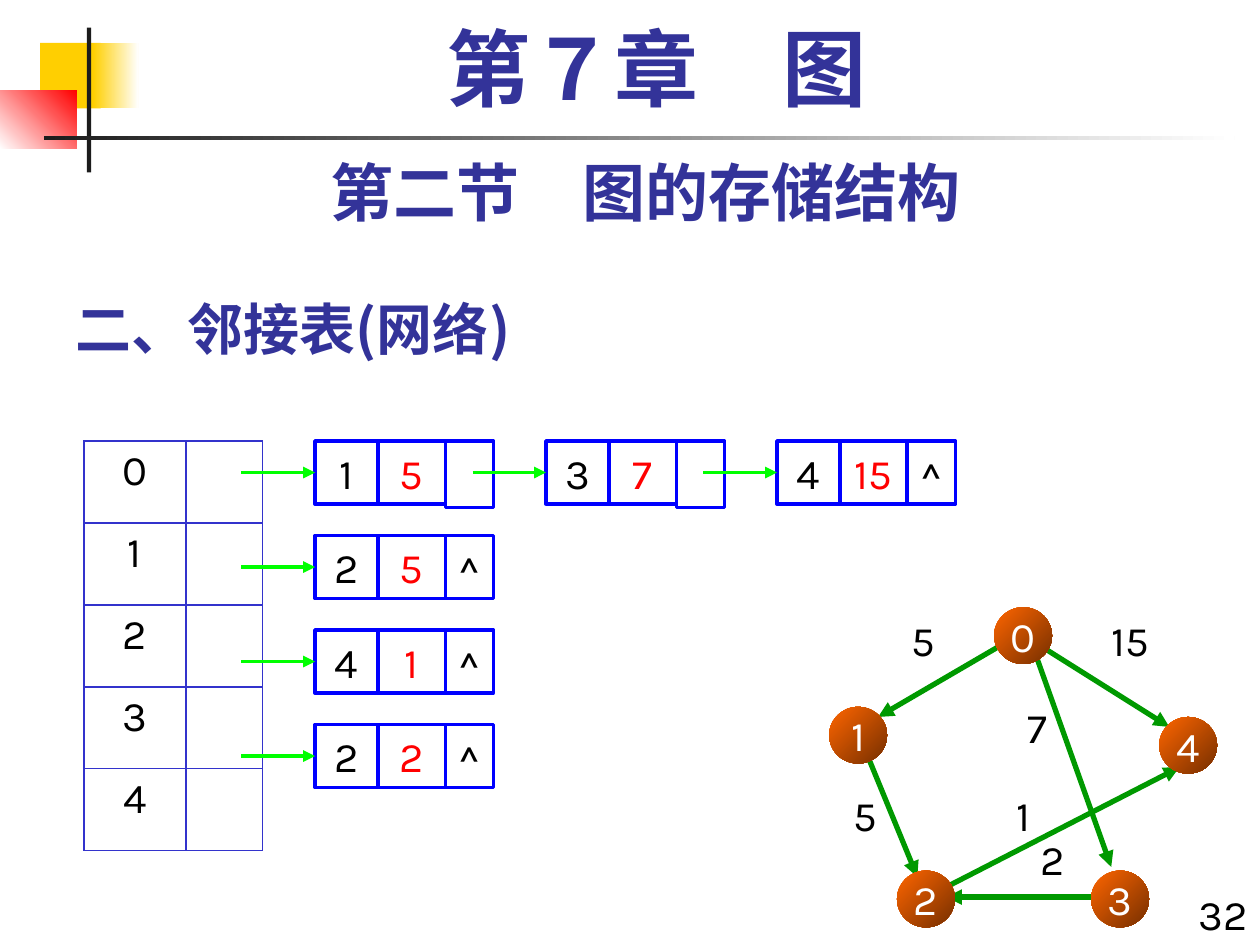
from lxml.etree import SubElement
from pptx import Presentation
from pptx.dml.color import RGBColor
from pptx.enum.shapes import MSO_CONNECTOR as Connector, MSO_SHAPE as Shape
from pptx.enum.text import MSO_ANCHOR as Anchor, PP_ALIGN as Align
from pptx.oxml.ns import qn
from pptx.util import Pt

BLACK = RGBColor(0x00, 0x00, 0x00)
WHITE = RGBColor(0xFF, 0xFF, 0xFF)
CHARCOAL = RGBColor(0x1C, 0x1C, 0x1C)
GOLD = RGBColor(0xFF, 0xCF, 0x01)
RED = RGBColor(0xFF, 0x00, 0x00)
NAVY = RGBColor(0x33, 0x33, 0x99)
TABLE_BLUE = RGBColor(0x33, 0x33, 0xCC)
BLUE = RGBColor(0x00, 0x00, 0xFF)
LIME = RGBColor(0x00, 0xFF, 0x00)
GREEN = RGBColor(0x00, 0x99, 0x00)
ORANGE = RGBColor(0xFF, 0x66, 0x00)
BROWN = RGBColor(0x76, 0x2F, 0x00)
CHINESE_FONT = "Noto Sans CJK SC"

presentation = Presentation()
presentation.slide_width, presentation.slide_height = Pt(720), Pt(540)
slide = presentation.slides.add_slide(presentation.slide_layouts[6])
shapes = slide.shapes


def write_text(frame, text, size=24, color=BLACK, font="Karla", bold=False,
               align=Align.CENTER, anchor=Anchor.TOP, spacing=None):
    frame.word_wrap = True
    frame.vertical_anchor = anchor
    paragraph = frame.paragraphs[0]
    paragraph.alignment = align
    paragraph.line_spacing = spacing
    run = paragraph.add_run()
    run.text = text
    run.font.size = Pt(size)
    run.font.name = font
    run.font.bold = bold
    run.font.color.rgb = color
    SubElement(run.font._element, qn("a:ea"), typeface=CHINESE_FONT)


def add_painted_shape(kind, box, colors=(), angle=0, outline=None):
    """No colour leaves the shape hollow, one is solid, two make a gradient."""
    shape = shapes.add_shape(kind, *map(Pt, box))
    shape.shadow.inherit = False
    if len(colors) == 2:
        shape.fill.gradient()
        shape.fill.gradient_angle = angle
        for stop, color in zip(shape.fill.gradient_stops, colors):
            stop.color.rgb = color
            stop.position = colors.index(color)
    elif colors:
        shape.fill.solid()
        shape.fill.fore_color.rgb = colors[0]
    else:
        shape.fill.background()
    if outline:
        shape.line.color.rgb = outline
        shape.line.width = Pt(2)
    else:
        shape.line.fill.background()
    shape.text_frame.margin_left = shape.text_frame.margin_right = 0
    return shape


# Corner ornament and rule
for box, colors, angle in [
    ((23, 24.5, 34.5, 37.5), (GOLD,), 0),
    ((53.3, 24.5, 25.9, 37.5), (GOLD, WHITE), 0),
    ((0, 51.8, 44, 33.2), (WHITE, RED), 45),
    ((49.7, 15.8, 2.4, 82.8), (CHARCOAL,), 0),
    ((25.2, 77.8, 680.4, 2.4), (CHARCOAL, WHITE), 0),
]:
    add_painted_shape(Shape.RECTANGLE, box, colors, angle)

# Headings, page number and edge weights
heading = {"color": NAVY, "bold": True}
for text, box, style in [
    ("二、邻接表(网络)", (36, 156.2, 522, 54),
     dict(heading, size=32, font=CHINESE_FONT, align=Align.LEFT, anchor=Anchor.BOTTOM)),
    ("32", (671.8, 504, 48.2, 36), {"align": Align.RIGHT}),
    ("第二节　图的存储结构", (36, 84.2, 666, 50.4), dict(heading, size=36)),
    ("第７章　图", (48.2, 12.2, 653.8, 59.8),
     dict(heading, size=48, font="Times New Roman", spacing=0.9)),
    ("5", (506.9, 347.8, 41, 36), {}),
    ("5", (473.8, 447.8, 41, 36), {}),
    ("15", (613.4, 347.8, 65.5, 36), {}),
    ("1", (564.5, 447.8, 41, 36), {}),
    ("7", (572.4, 397.4, 41, 36), {}),
    ("2", (581, 473, 41, 36), {}),
]:
    write_text(shapes.add_textbox(*map(Pt, box)).text_frame, text, **style)

# Vertex table
table = shapes.add_table(5, 2, Pt(48), Pt(252), Pt(102), Pt(234)).table
table.first_row = table.horz_banding = False
table.columns[0].width, table.columns[1].width = Pt(58.2), Pt(43.8)
for index, row in enumerate(table.rows):
    row.height = Pt(46.8)
    write_text(row.cells[0].text_frame, str(index))
    for cell in row.cells:
        properties = cell._tc.get_or_add_tcPr()
        for side in ("lnL", "lnR", "lnT", "lnB"):
            border = SubElement(properties, qn(f"a:{side}"), w=str(Pt(1.08)))
            fill = SubElement(border, qn("a:solidFill"))
            SubElement(fill, qn("a:srgbClr"), val=str(TABLE_BLUE))
        cell.fill.background()

arrows = []

# Graph edges, then the vertices over them
for ends in [
    (596.2, 370.1, 668.2, 415.4),
    (496.1, 432.7, 524.2, 501.1),
    (579.6, 364.3, 501.8, 409.7),
    (590.4, 370.1, 635, 495.4),
    (623.5, 512.6, 540.7, 512.6),
    (540.7, 506.9, 673.9, 438.5),
]:
    edge = shapes.add_connector(Connector.STRAIGHT, *map(Pt, ends))
    arrows.append((edge, GREEN, 3))

for name, left, top in [
    ("1", 473.8, 403.9), ("3", 623.5, 497.5), ("2", 512.6, 497.5),
    ("4", 662.4, 409.7), ("0", 568.1, 347),
]:
    vertex = add_painted_shape(Shape.OVAL, (left, top, 33.1, 32.4), (ORANGE, BROWN), 315)
    write_text(vertex.text_frame, name, color=WHITE, anchor=Anchor.MIDDLE)

# Linked lists: each node holds a vertex, a weight and a pointer
linked_lists = [
    [("1", "5"), ("3", "7"), ("4", "15")],
    [("2", "5")],
    [("4", "1")],
    [("2", "2")],
]
for row, nodes in enumerate(linked_lists):
    top = 252 + 54 * row
    for position, (vertex, weight) in enumerate(nodes):
        left = 180 + 132 * position
        is_last = position == len(nodes) - 1
        vertex_cell = add_painted_shape(Shape.RECTANGLE, (left, top, 36, 36), outline=BLUE)
        weight_cell = add_painted_shape(Shape.RECTANGLE, (left + 36, top, 38.5, 36), outline=BLUE)
        pointer_box = (left + 74.5, top, 27.5, 36 if is_last else 38)
        pointer_cell = add_painted_shape(Shape.RECTANGLE, pointer_box, outline=BLUE)
        write_text(vertex_cell.text_frame, vertex)
        write_text(weight_cell.text_frame, weight, color=RED)
        if is_last:
            write_text(pointer_cell.text_frame, "^")
        link = shapes.add_connector(
            Connector.STRAIGHT, Pt(left - 42), Pt(top + 18), Pt(left), Pt(top + 18))
        link.end_connect(vertex_cell, 1)
        arrows.append((link, LIME, 2.25))

for arrow, color, width in arrows:
    arrow.line.color.rgb = color
    arrow.line.width = Pt(width)
    SubElement(arrow.line._get_or_add_ln(), qn("a:tailEnd"), type="triangle")
    SubElement(arrow._element.spPr, qn("a:effectLst"))

presentation.save("out.pptx")
